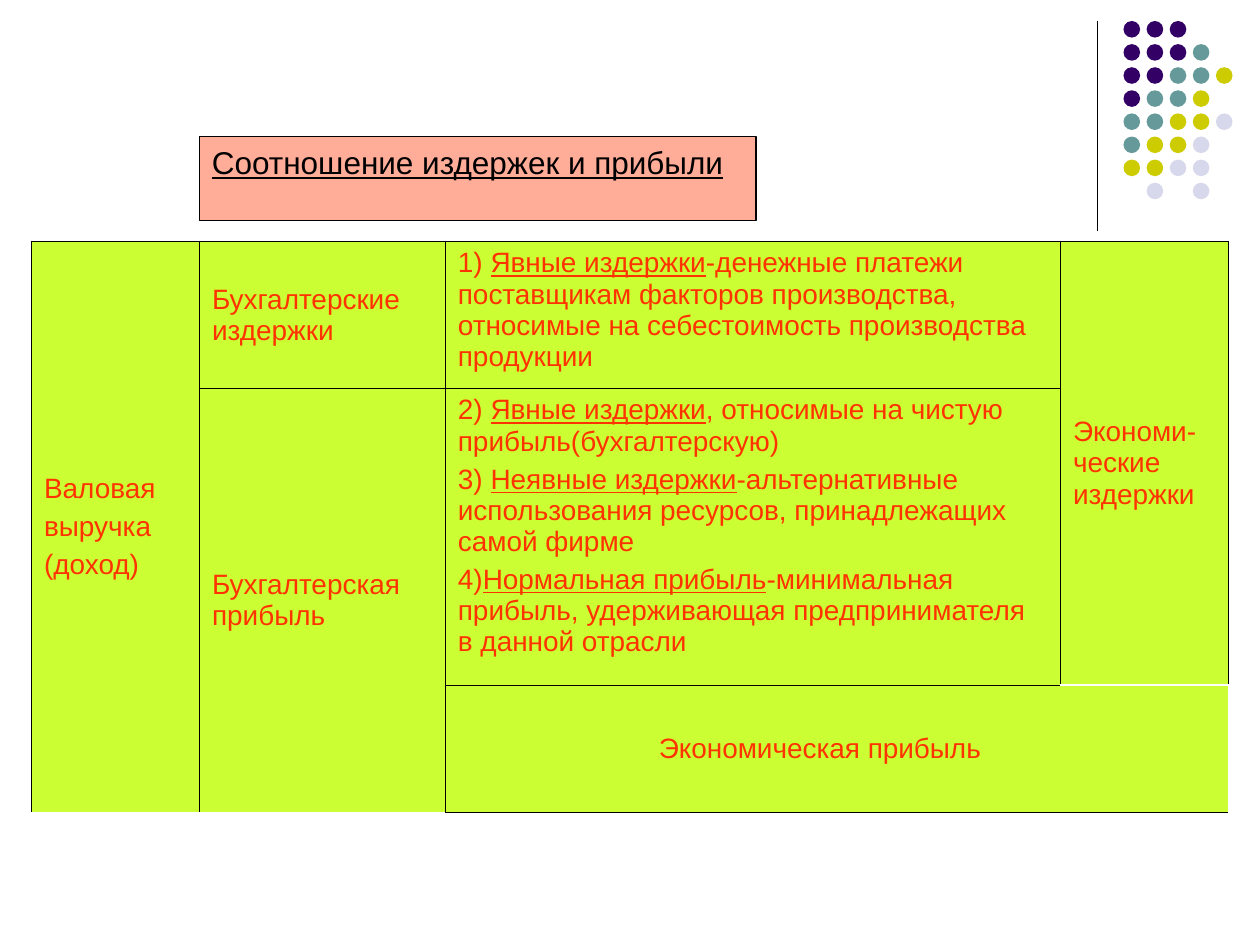
import lxml.etree
import pptx
import pptx.dml.color
import pptx.enum.shapes
import pptx.enum.text
import pptx.oxml.ns
import pptx.util

Pt = pptx.util.Pt
RGBColor = pptx.dml.color.RGBColor
MIDDLE = pptx.enum.text.MSO_ANCHOR.MIDDLE
TOP = pptx.enum.text.MSO_ANCHOR.TOP
qn = pptx.oxml.ns.qn

BLACK = RGBColor(0x00, 0x00, 0x00)
RED = RGBColor(0xFF, 0x33, 0x00)
LIME = RGBColor(0xCC, 0xFF, 0x33)
DOT_COLORS = {
    "P": RGBColor(0x33, 0x00, 0x66),
    "T": RGBColor(0x66, 0x99, 0x99),
    "Y": RGBColor(0xCC, 0xCC, 0x00),
    "L": RGBColor(0xD8, 0xD8, 0xEC),
}


def write_paragraph(paragraph, text, size, color, space_before):
    """Fill a paragraph; the parts between underscores are underlined."""
    paragraph.font.name = "Arial"
    paragraph.font.size = Pt(size)
    paragraph.font.color.rgb = color
    paragraph.space_before = Pt(space_before)
    for index, part in enumerate(text.split("_")):
        if part:
            run = paragraph.add_run()
            run.text = part
            run.font.underline = index % 2 == 1


def add_border(cell, side, width):
    properties = cell._tc.get_or_add_tcPr()
    line = lxml.etree.SubElement(properties, qn(f"a:ln{side}"), w=str(Pt(width)))
    fill = lxml.etree.SubElement(line, qn("a:solidFill"))
    lxml.etree.SubElement(fill, qn("a:srgbClr"), val=str(BLACK))


presentation = pptx.Presentation()
presentation.slide_width = Pt(720)
presentation.slide_height = Pt(540)
slide = presentation.slides.add_slide(presentation.slide_layouts[6])

# Corner decoration: a vertical rule and a grid of dots
rule = slide.shapes.add_connector(
    pptx.enum.shapes.MSO_CONNECTOR.STRAIGHT, Pt(627), Pt(12), Pt(627), Pt(132))
rule.line.color.rgb = BLACK
rule.line.width = Pt(0.75)
lxml.etree.SubElement(rule._element.spPr, qn("a:effectLst"))

DOT_ROWS = ["PPP", "PPPT", "PPTTY", "PTTY", "TTYYL", "TYYL", "YYLL", " L L"]
DOT_PITCH = 13.2
DOT_SIZE = 9.5
for row, codes in enumerate(DOT_ROWS):
    for column, code in enumerate(codes):
        if code == " ":
            continue
        dot = slide.shapes.add_shape(
            pptx.enum.shapes.MSO_SHAPE.OVAL,
            Pt(642 + column * DOT_PITCH), Pt(12 + row * DOT_PITCH),
            Pt(DOT_SIZE), Pt(DOT_SIZE))
        dot.shadow.inherit = False
        dot.fill.solid()
        dot.fill.fore_color.rgb = DOT_COLORS[code]
        dot.line.fill.background()

# Title
title = slide.shapes.add_textbox(Pt(114), Pt(78), Pt(318), Pt(48))
title.fill.solid()
title.fill.fore_color.rgb = RED
title_color = title._element.spPr.find(".//" + qn("a:srgbClr"))
lxml.etree.SubElement(title_color, qn("a:alpha"), val="40000")
title.line.color.rgb = BLACK
title.line.width = Pt(0.75)
title.text_frame.word_wrap = True
write_paragraph(title.text_frame.paragraphs[0],
                "_Соотношение издержек и прибыли_", 18, BLACK, 4.5)

# Table of costs and profit
COLUMN_WIDTHS = [96, 140.5, 351.5, 96]
ROW_HEIGHTS = [84, 169.5, 72.5]
# First row, first column, last row, last column, anchor, left margin, paragraphs
REGIONS = [
    (0, 0, 2, 0, MIDDLE, 7.2, ["Валовая", "выручка", "(доход)"]),
    (0, 1, 0, 1, MIDDLE, 7.2, ["Бухгалтерские издержки"]),
    (0, 2, 0, 2, TOP, 7.2, [
        "1) _Явные издержки_-денежные платежи поставщикам факторов "
        "производства, относимые на себестоимость производства продукции"]),
    (0, 3, 1, 3, MIDDLE, 7.2, ["Экономи-ческие издержки"]),
    (1, 1, 2, 1, MIDDLE, 7.2, ["Бухгалтерская прибыль"]),
    (1, 2, 1, 2, TOP, 7.2, [
        "2) _Явные издержки_, относимые на чистую прибыль(бухгалтерскую)",
        "3) _Неявные издержки_-альтернативные использования ресурсов, "
        "принадлежащих самой фирме",
        "4)_Нормальная прибыль_-минимальная прибыль, удерживающая "
        "предпринимателя в данной отрасли"]),
    (2, 2, 2, 3, MIDDLE, 122, ["Экономическая прибыль"]),
]
table = slide.shapes.add_table(
    len(ROW_HEIGHTS), len(COLUMN_WIDTHS), Pt(18), Pt(138),
    Pt(sum(COLUMN_WIDTHS)), Pt(sum(ROW_HEIGHTS))).table
table.first_row = False
table.horz_banding = False
for table_column, width in zip(table.columns, COLUMN_WIDTHS):
    table_column.width = Pt(width)
for table_row, height in zip(table.rows, ROW_HEIGHTS):
    table_row.height = Pt(height)

last_table_row = len(ROW_HEIGHTS) - 1
last_table_column = len(COLUMN_WIDTHS) - 1
for top, left, bottom, right, anchor, margin, texts in REGIONS:
    for row in range(top, bottom + 1):
        for column in range(left, right + 1):
            cell = table.cell(row, column)
            edges = [
                ("L", column == left, column == 0),
                ("R", column == right, column == last_table_column),
                ("T", row == top, row == 0),
                ("B", row == bottom, row == last_table_row),
            ]
            for side, on_region_edge, on_table_edge in edges:
                if on_region_edge:
                    add_border(cell, side, 1.08 if on_table_edge else 0.45)
            cell.fill.solid()
            cell.fill.fore_color.rgb = LIME

    origin = table.cell(top, left)
    if (top, left) != (bottom, right):
        origin.merge(table.cell(bottom, right))
    origin.vertical_anchor = anchor
    origin.margin_left = Pt(margin)
    for index, text in enumerate(texts):
        frame = origin.text_frame
        paragraph = frame.add_paragraph() if index else frame.paragraphs[0]
        write_paragraph(paragraph, text, 16, RED, 4)

presentation.save("out.pptx")
